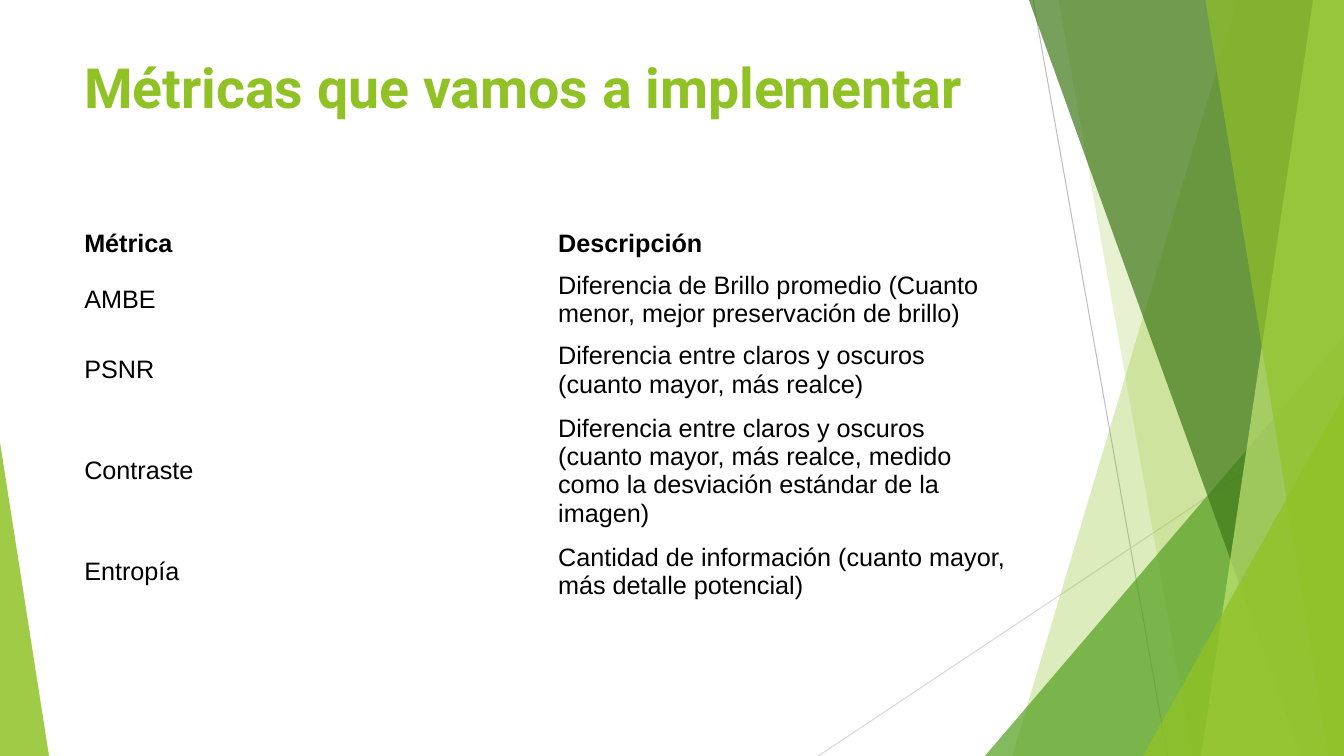
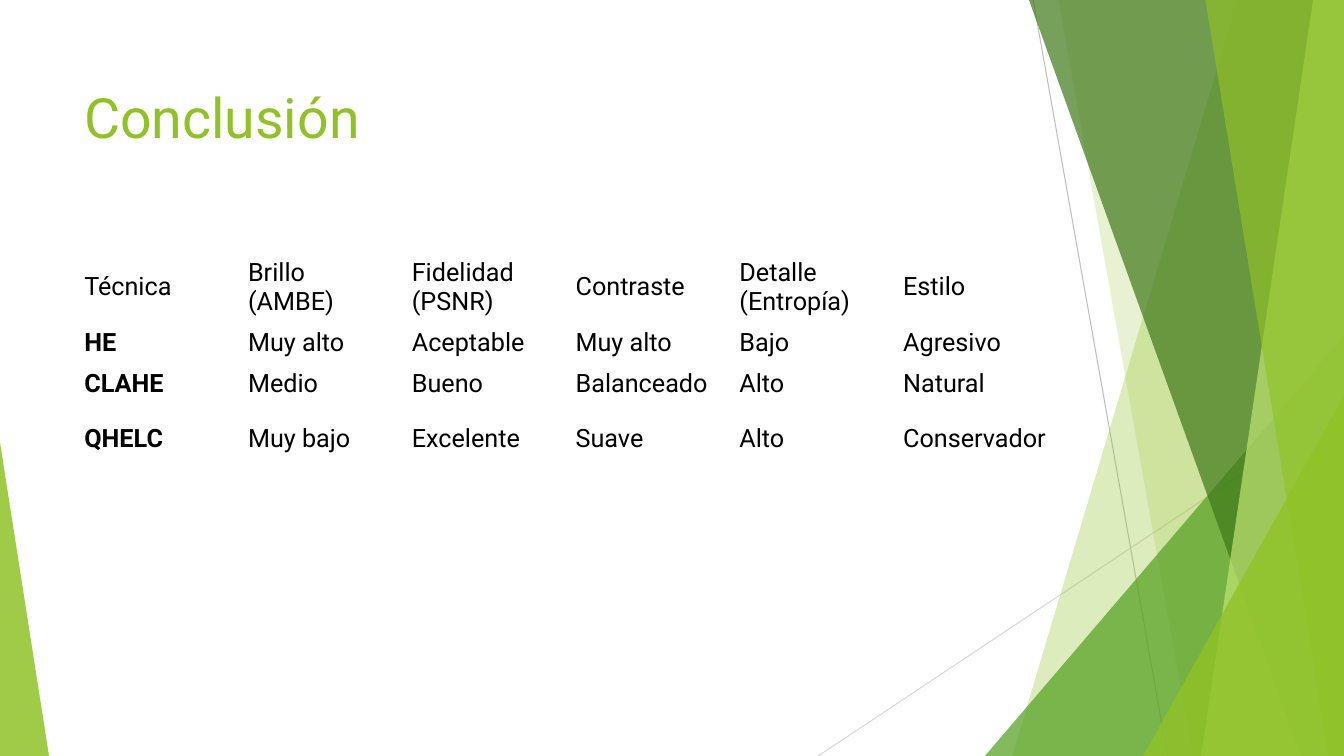
from collections import namedtuple

from lxml.etree import SubElement
from pptx import Presentation
from pptx.dml.color import RGBColor
from pptx.enum.shapes import MSO_CONNECTOR, MSO_SHAPE
from pptx.enum.text import MSO_ANCHOR
from pptx.oxml.ns import qn
from pptx.util import Pt

Box = namedtuple("Box", "left top width height")
PAGE = Box(0, 0, 960, 540)
GREEN, LEAF, FOREST, LIME = "90C226", "54A021", "3F7819", "C0E474"
BLACK, GREY, PALE_GREY = "000000", "BFBFBF", "D9D9D9"
TITLE_FONT, TITLE_SIZE, BODY_SIZE = "Roboto", 39.6, 18
PLAIN_TABLE = "{2D5ABB26-0587-4C30-8999-92F81FD0307C}"

METRICS = [
    ["Métrica", "Descripción"],
    ["AMBE", "Diferencia de Brillo promedio (Cuanto menor, mejor preservación de brillo)"],
    ["PSNR", "Diferencia entre claros y oscuros (cuanto mayor, más realce)"],
    ["Contraste", "Diferencia entre claros y oscuros (cuanto mayor, más realce, "
                  "medido como la desviación estándar de la imagen)"],
    ["Entropía", "Cantidad de información (cuanto mayor, más detalle potencial)"],
]
CONCLUSIONS = [
    ["Técnica", "Brillo (AMBE)", "Fidelidad (PSNR)", "Contraste", "Detalle (Entropía)", "Estilo"],
    ["HE", "Muy alto", "Aceptable", "Muy alto", "Bajo", "Agresivo"],
    ["CLAHE", "Medio", "Bueno", "Balanceado", "Alto", "Natural"],
    ["QHELC", "Muy bajo", "Excelente", "Suave", "Alto", "Conservador"],
]


def rgb(code):
    """Turn a hex string into a colour."""
    return RGBColor.from_string(code)


def paint(shape, color, opacity):
    """Fill a shape with a translucent colour, without outline or shadow."""
    shape.shadow.inherit = False
    shape.line.fill.background()
    shape.fill.solid()
    shape.fill.fore_color.rgb = rgb(color)
    srgb = shape.element.spPr.find(".//" + qn("a:srgbClr"))
    SubElement(srgb, qn("a:alpha"), val=str(opacity * 1000))


def add_ray(slide, box, start, end, color):
    """Draw a thin straight line between two points of the box."""
    ray = slide.shapes.add_connector(
        MSO_CONNECTOR.STRAIGHT,
        Pt(box.left + start[0]), Pt(box.top + start[1]),
        Pt(box.left + end[0]), Pt(box.top + end[1]))
    ray.line.color.rgb = rgb(color)
    ray.line.width = Pt(0.75)
    SubElement(ray.element.spPr, qn("a:effectLst"))


def add_panel(slide, box, top_x, bottom_x, color, opacity):
    """Draw a full-height panel with a slanted left edge, flush with the right of the box."""
    right, bottom = box.left + box.width, box.top + box.height
    outline = slide.shapes.build_freeform(Pt(box.left + top_x), Pt(box.top))
    outline.add_line_segments([
        (Pt(right), Pt(box.top)), (Pt(right), Pt(bottom)), (Pt(box.left + bottom_x), Pt(bottom))])
    paint(outline.convert_to_shape(), color, opacity)


def add_corner(slide, box, width, height, apex, color, opacity):
    """Draw a triangle in a bottom corner of the box: apex 0 for left, 1 for right."""
    corner = slide.shapes.add_shape(
        MSO_SHAPE.ISOSCELES_TRIANGLE,
        Pt(box.left + apex * (box.width - width)), Pt(box.top + box.height - height),
        Pt(width), Pt(height))
    corner.adjustments[0] = apex
    paint(corner, color, opacity)


def add_facets(slide, box):
    """Draw the green facets that frame every slide."""
    add_ray(slide, box, (738, 0), (834, 540), GREY)
    add_ray(slide, box, (960, 290), (584.5, 540), PALE_GREY)
    add_panel(slide, box, 884, 723, GREEN, 30)
    add_panel(slide, box, 756, 852, GREEN, 20)
    add_corner(slide, box, 256.5, 300, 1, LEAF, 72)
    add_panel(slide, box, 735, 929.5, FOREST, 70)
    add_panel(slide, box, 938, 858, LIME, 70)
    add_panel(slide, box, 861, 949, GREEN, 65)
    add_corner(slide, box, 143.5, 257, 1, GREEN, 80)
    add_corner(slide, box, 35, 224, 0, GREEN, 85)


def style_text(frame, font, size, color, bold):
    """Format every run of a text frame."""
    for paragraph in frame.paragraphs:
        for run in paragraph.runs:
            run.font.name = font
            run.font.size = Pt(size)
            run.font.bold = bold
            run.font.color.rgb = rgb(color)


def add_title(slide, box, wording, anchor, bold):
    """Write the slide title in the box."""
    frame = slide.shapes.add_textbox(*map(Pt, box)).text_frame
    frame.word_wrap = True
    frame.vertical_anchor = anchor
    frame.text = wording
    style_text(frame, TITLE_FONT, TITLE_SIZE, GREEN, bold)


def add_grid(slide, box, rows, heights, font, is_bold):
    """Place a plain table with equal columns; is_bold picks cells by row and column."""
    holder = slide.shapes.add_table(len(rows), len(rows[0]), *map(Pt, box))
    for style_id in holder.element.iter(qn("a:tableStyleId")):
        style_id.text = PLAIN_TABLE
    grid = holder.table
    grid.first_row = grid.horz_banding = False
    for column in grid.columns:
        column.width = Pt(box.width / len(rows[0]))
    for r, (entries, height) in enumerate(zip(rows, heights)):
        grid.rows[r].height = Pt(height)
        for c, entry in enumerate(entries):
            cell = grid.cell(r, c)
            cell.fill.background()
            cell.vertical_anchor = MSO_ANCHOR.MIDDLE
            cell.text_frame.text = entry
            style_text(cell.text_frame, font, BODY_SIZE, BLACK, is_bold(r, c))


def new_slide(deck):
    """Add a blank slide with the shared facets."""
    slide = deck.slides.add_slide(deck.slide_layouts[6])
    add_facets(slide, PAGE)
    return slide


def add_metrics_slide(deck):
    """Build the slide that describes the metrics."""
    slide = new_slide(deck)
    add_title(slide, Box(53, 34.5, 677, 60), "Métricas que vamos a implementar",
              MSO_ANCHOR.TOP, True)
    heights = [27, 47, 47, 88, 47]
    add_grid(slide, Box(53, 160, 677, sum(heights)), METRICS, heights, "Arial",
             lambda r, c: r == 0)


def add_conclusion_slide(deck):
    """Build the slide that compares the techniques."""
    slide = new_slide(deck)
    add_title(slide, Box(53, 55.5, 677, 55.5), "Conclusión", MSO_ANCHOR.MIDDLE, False)
    heights = [50.5, 29, 29, 50.5]
    add_grid(slide, Box(53, 180, 702, sum(heights)), CONCLUSIONS, heights, "Roboto",
             lambda r, c: r > 0 and c == 0)


def main():
    """Build and save the deck."""
    deck = Presentation()
    deck.slide_width, deck.slide_height = Pt(PAGE.width), Pt(PAGE.height)
    add_metrics_slide(deck)
    add_conclusion_slide(deck)
    deck.save("out.pptx")


if __name__ == "__main__":
    main()
